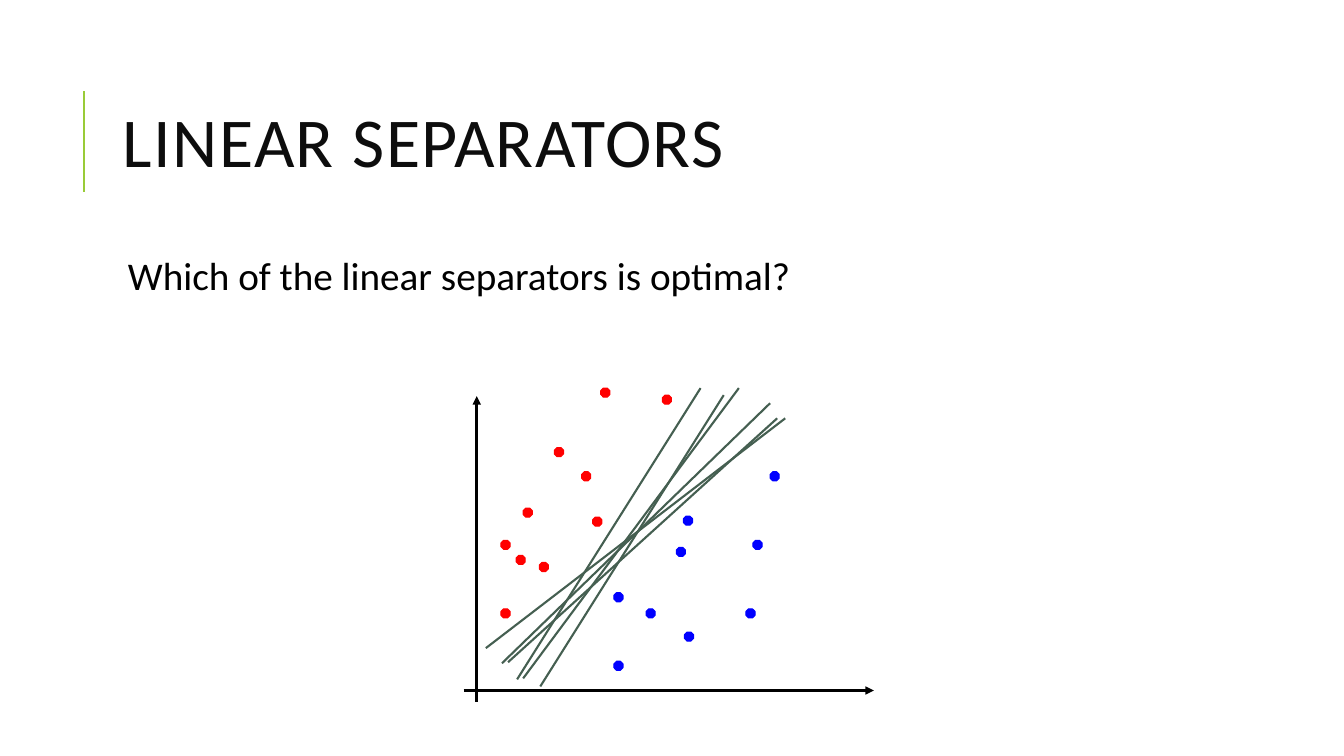
import dataclasses
import typing

import pptx
import pptx.dml.color
import pptx.enum.shapes
import pptx.enum.text
import pptx.oxml
import pptx.oxml.ns
import pptx.util

RGB = pptx.dml.color.RGBColor
BLACK = RGB(0x00, 0x00, 0x00)
INK = RGB(0x0D, 0x0D, 0x0D)
LIME = RGB(0x99, 0xCB, 0x38)
PINE = RGB(0x45, 0x5F, 0x51)
RED = RGB(0xFF, 0x00, 0x00)
BLUE = RGB(0x00, 0x00, 0xFF)

# The grid has ten cells to the inch
CELL = pptx.util.Inches(0.1)
WIDE, HIGH = 133.33, 75
DOT = 0.9


@dataclasses.dataclass(frozen=True)
class Line:
    start: tuple[float, float]
    end: tuple[float, float]
    color: RGB = PINE
    width: float = 1.5
    arrow: bool = False


@dataclasses.dataclass(frozen=True)
class Class:
    color: RGB
    spots: tuple[tuple[float, float], ...]


RULE = Line((8.3, 19), (8.3, 9), LIME)
AXES = (
    Line((47.3, 69.6), (47.3, 39.3), BLACK, 2, True),
    Line((46, 68.5), (86.7, 68.5), BLACK, 2, True),
)
CUTS = (
    Line((50.4, 65.7), (77.1, 41.5)),
    Line((51.9, 67.3), (73.3, 38.5)),
    Line((48.2, 64.3), (77.9, 41.5)),
    Line((53.6, 68.1), (71.8, 39.2)),
    Line((51.3, 67.4), (69.5, 38.5)),
    Line((49.8, 65.8), (76.4, 40)),
)
# Left and top of each dot
GROUPS = (
    Class(RED, ((57.7, 46.8), (51.9, 50.4), (53.5, 55.8), (49.7, 60.4),
                (55, 44.4), (49.7, 53.6), (51.2, 55.1), (58.8, 51.3),
                (59.6, 38.5), (65.7, 39.2))),
    Class(BLUE, ((67.8, 51.2), (64.1, 60.4), (74, 60.4), (60.9, 65.6),
                 (67.1, 54.3), (60.9, 58.8), (67.9, 62.7), (74.7, 53.6),
                 (76.4, 46.8))),
)


def grid(*cells: float) -> list[int]:
    return [round(cell * CELL) for cell in cells]


def style(item: typing.Any, form: dict[str, typing.Any]) -> None:
    for name, value in form.items():
        setattr(item, name, value)


def draw_line(shapes: typing.Any, line: Line) -> None:
    link = shapes.add_connector(
        pptx.enum.shapes.MSO_CONNECTOR.STRAIGHT,
        *grid(*line.start, *line.end))
    link.line.color.rgb = line.color
    link.line.width = pptx.util.Pt(line.width)
    if line.arrow:
        tip = pptx.oxml.parse_xml(
            f'<a:tailEnd {pptx.oxml.ns.nsdecls("a")} type="triangle"/>')
        link.line._get_or_add_ln().append(tip)
    link._element.spPr.append(pptx.oxml.parse_xml(
        f'<a:effectLst {pptx.oxml.ns.nsdecls("a")}/>'))


def draw_dots(shapes: typing.Any, group: Class) -> None:
    for left, top in group.spots:
        dot = shapes.add_shape(pptx.enum.shapes.MSO_SHAPE.OCTAGON,
                               *grid(left, top, DOT, DOT))
        dot.adjustments[0] = 0.29
        dot.shadow.inherit = False
        dot.fill.solid()
        dot.fill.fore_color.rgb = group.color
        dot.line.color.rgb = group.color
        dot.line.width = pptx.util.Pt(0.75)


def write(shape: typing.Any, text: str, color: RGB, frame: dict,
          para: dict, font: dict) -> typing.Any:
    style(shape.text_frame, {
        "word_wrap": True,
        "auto_size": pptx.enum.text.MSO_AUTO_SIZE.NONE, **frame})
    line = shape.text_frame.paragraphs[0]
    style(line, {"alignment": pptx.enum.text.PP_ALIGN.LEFT, **para})
    run = line.add_run()
    run.text = text
    style(run.font, {"name": "Calibri", **font})
    run.font.color.rgb = color
    return run


def main() -> None:
    deck = pptx.Presentation()
    deck.slide_width, deck.slide_height = grid(WIDE, HIGH)
    slide = deck.slides.add_slide(deck.slide_layouts[5])

    # Heading with its rule
    draw_line(slide.shapes, RULE)
    title = slide.shapes.title
    style(title, dict(zip(("left", "top", "width", "height"),
                          grid(11.2, 6.4, 106.3, 16.4))))
    run = write(title, "LINEAR SEPARATORS", INK,
                {"vertical_anchor": pptx.enum.text.MSO_ANCHOR.MIDDLE},
                {"line_spacing": 0.8}, {"size": pptx.util.Pt(50)})
    run.font._element.set("spc", "100")

    # Question
    body = slide.shapes.add_textbox(*grid(11.2, 25, 106.3, 44))
    inset = pptx.util.Inches(0.05)
    write(body, "Which of the linear separators is optimal?", BLACK,
          {"margin_left": inset + CELL, "margin_right": inset,
           "margin_top": inset, "margin_bottom": inset},
          {"line_spacing": 0.9, "space_before": pptx.util.Pt(12),
           "space_after": pptx.util.Pt(2)},
          {"size": pptx.util.Pt(28)})

    # Plot
    plot = slide.shapes.add_group_shape().shapes
    for line in AXES:
        draw_line(plot, line)
    for group in GROUPS:
        draw_dots(plot, group)
    for line in CUTS:
        draw_line(plot, line)

    deck.save("out.pptx")


if __name__ == "__main__":
    main()
